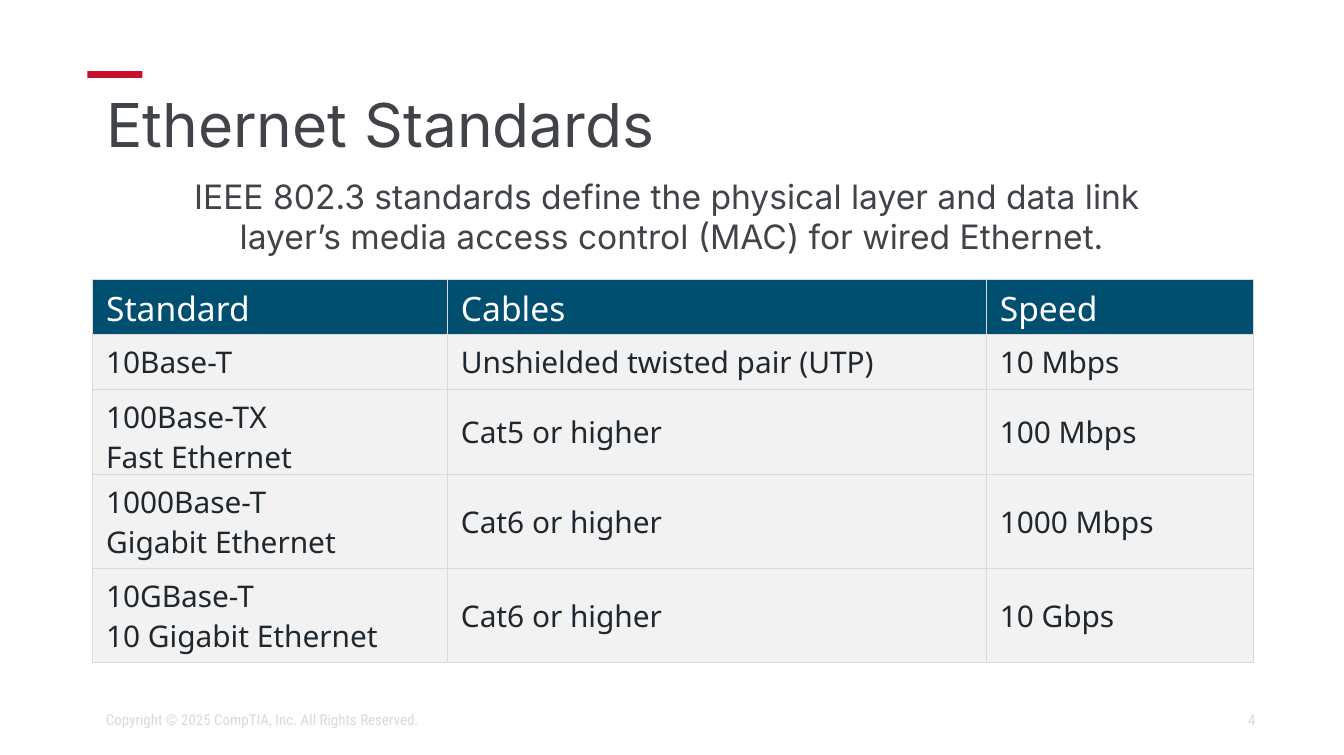
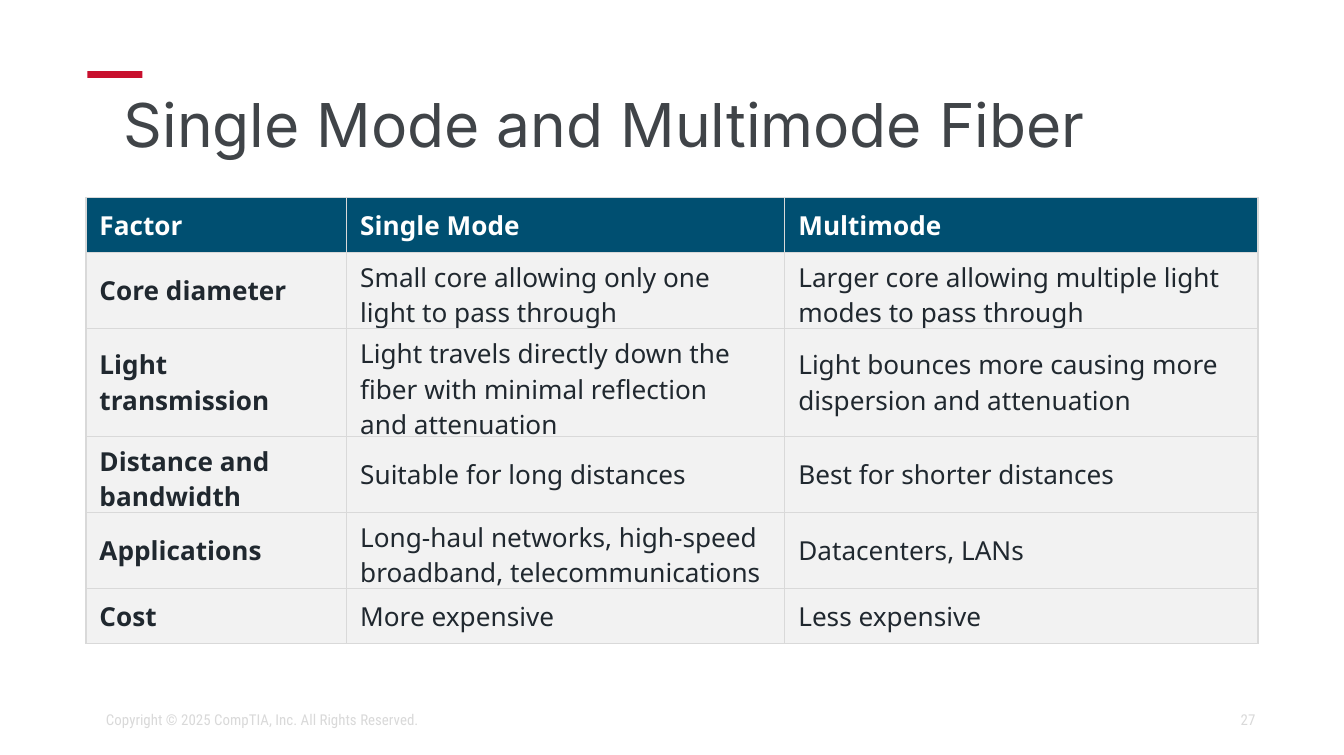
from lxml.etree import SubElement
from pptx import Presentation
from pptx.dml.color import RGBColor
from pptx.enum.shapes import MSO_SHAPE
from pptx.enum.text import MSO_ANCHOR, MSO_AUTO_SIZE, PP_ALIGN
from pptx.oxml.ns import qn
from pptx.util import Inches, Pt

# Colours
RED = RGBColor(0xC8, 0x10, 0x2E)
SLATE = RGBColor(0x40, 0x44, 0x48)
NAVY = RGBColor(0x00, 0x4F, 0x71)
INK = RGBColor(0x20, 0x28, 0x2F)
PALE = RGBColor(0xF2, 0xF2, 0xF2)
GREY = RGBColor(0xD9, 0xD9, 0xD9)
WHITE = RGBColor(0xFF, 0xFF, 0xFF)

# Text styles
TITLE = dict(name="Inter", size=Pt(32.4), bold=False, color=SLATE)
INTRO = dict(name="Inter", size=Pt(18), color=SLATE)
FOOTER = dict(name="Roboto Condensed", size=Pt(8), color=GREY)

# Content: "\n" starts a paragraph, "\v" breaks a line
COPYRIGHT = "Copyright © 2025 CompTIA, Inc. All Rights Reserved."
SLIDES = [
    dict(
        title="Ethernet Standards", title_indent=0, number="4",
        intro="IEEE 802.3 standards define the physical layer and data link \v"
              "layer’s media access control (MAC) for wired Ethernet.",
        at=(0.69, 2.08), columns=(2.64, 4.01, 1.99),
        heights=(0.41, 0.41, 0.41, 0.7, 0.7),
        header_size=18, body_size=16, bold_labels=False,
        rows=[
            ("Standard", "Cables", "Speed"),
            ("10Base-T", "Unshielded twisted pair (UTP)", "10 Mbps"),
            ("100Base-TX\nFast Ethernet", "Cat5 or higher", "100 Mbps"),
            ("1000Base-T\nGigabit Ethernet", "Cat6 or higher", "1000 Mbps"),
            ("10GBase-T\n10 Gigabit Ethernet", "Cat6 or higher", "10 Gbps"),
        ],
    ),
    dict(
        title="Single Mode and Multimode Fiber", title_indent=0.13, number="27",
        intro=None,
        at=(0.64, 1.47), columns=(1.94, 3.26, 3.52),
        heights=(0.41, 0.55, 0.77, 0.55, 0.55, 0.41),
        header_size=14, body_size=14, bold_labels=True,
        rows=[
            ("Factor", "Single Mode", "Multimode"),
            ("Core diameter", "Small core allowing only one light to pass through",
             "Larger core allowing multiple light modes to pass through"),
            ("Light transmission",
             "Light travels directly down the \vfiber with minimal reflection \vand attenuation",
             "Light bounces more causing more dispersion and attenuation"),
            ("Distance and bandwidth", "Suitable for long distances",
             "Best for shorter distances"),
            ("Applications", "Long-haul networks, high-speed broadband, telecommunications",
             "Datacenters, LANs"),
            ("Cost", "More expensive", "Less expensive"),
        ],
    ),
]


def write(frame, text, style, align=PP_ALIGN.LEFT):
    frame.text = text
    for para in frame.paragraphs:
        para.alignment = align
        for span in para.runs:
            for key, value in style.items():
                if key == "color":
                    span.font.color.rgb = value
                else:
                    setattr(span.font, key, value)


def add_text(page, at, text, style, align=PP_ALIGN.LEFT, anchor=MSO_ANCHOR.MIDDLE):
    box = page.shapes.add_textbox(*map(Inches, at))
    box.text_frame.word_wrap = True
    box.text_frame.vertical_anchor = anchor
    write(box.text_frame, text, style, align)


def add_frame(page, content):
    """Red accent, title and footer shared by every slide."""
    bar = page.shapes.add_shape(MSO_SHAPE.RECTANGLE, *map(Inches, (0.65, 0.53, 0.41, 0.05)))
    bar.shadow.inherit = False
    bar.fill.solid()
    bar.fill.fore_color.rgb = RED
    bar.line.fill.background()

    title = page.shapes.title
    title.left, title.top, title.width, title.height = map(Inches, (0.69, 0.64, 8.62, 0.63))
    frame = title.text_frame
    frame.auto_size = MSO_AUTO_SIZE.NONE
    frame.vertical_anchor = MSO_ANCHOR.MIDDLE
    frame.margin_left = Inches(0.1 + content["title_indent"])
    write(frame, content["title"], TITLE)
    frame.paragraphs[0].line_spacing = 0.9

    add_text(page, (7.06, 5.21, 2.38, 0.3), content["number"], FOOTER, PP_ALIGN.RIGHT)
    add_text(page, (0.69, 5.21, 4.31, 0.3), COPYRIGHT, FOOTER)


def add_borders(cell):
    properties = cell._tc.get_or_add_tcPr()
    for place, side in enumerate(("lnL", "lnR", "lnT", "lnB")):
        line = SubElement(properties, qn(f"a:{side}"), w=str(Pt(0.75)))
        fill = SubElement(line, qn("a:solidFill"))
        SubElement(fill, qn("a:srgbClr"), val=str(GREY))
        properties.insert(place, line)  # borders come before the cell fill


def add_grid(page, content):
    rows, columns, heights = content["rows"], content["columns"], content["heights"]
    size = sum(columns), sum(heights)
    table = page.shapes.add_table(
        len(rows), len(columns), *map(Inches, content["at"] + size)).table
    table.horz_banding = False
    for column, width in zip(table.columns, columns):
        column.width = Inches(width)
    for row, height in zip(table.rows, heights):
        row.height = Inches(height)

    for r, texts in enumerate(rows):
        header = r == 0
        for c, text in enumerate(texts):
            cell = table.cell(r, c)
            cell.vertical_anchor = MSO_ANCHOR.MIDDLE
            cell.fill.solid()
            cell.fill.fore_color.rgb = NAVY if header else PALE
            add_borders(cell)
            write(cell.text_frame, text, dict(
                name="Noto Sans",
                size=Pt(content["header_size" if header else "body_size"]),
                bold=content["bold_labels"] and (header or c == 0),
                color=WHITE if header else INK))


def main():
    deck = Presentation()
    deck.slide_width, deck.slide_height = Inches(10), Inches(5.62)
    for content in SLIDES:
        page = deck.slides.add_slide(deck.slide_layouts[5])
        add_frame(page, content)
        if content["intro"]:
            add_text(page, (0.96, 1.26, 8.08, 0.71), content["intro"], INTRO,
                     PP_ALIGN.CENTER, MSO_ANCHOR.TOP)
        add_grid(page, content)
    deck.save("out.pptx")


if __name__ == "__main__":
    main()
